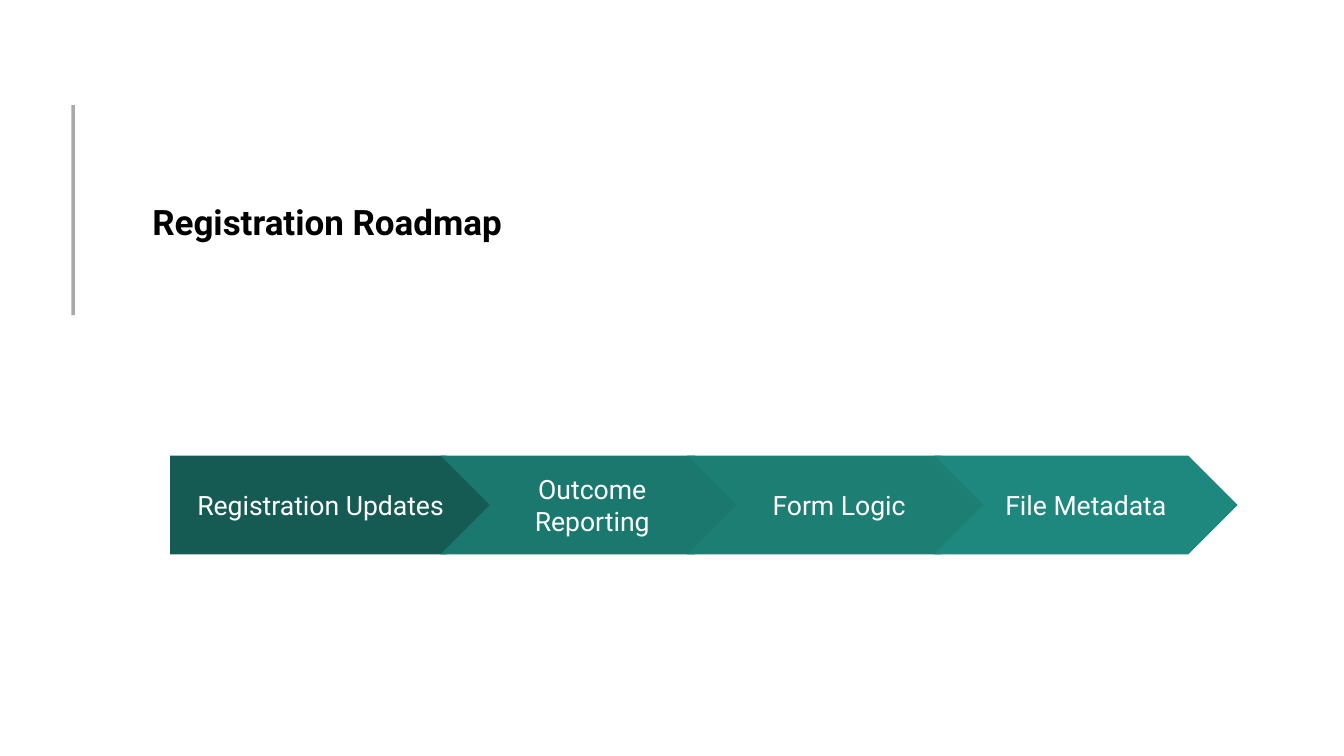
import pptx
import pptx.dml.color
import pptx.enum.shapes
import pptx.enum.text
import pptx.util

Cm, Pt = pptx.util.Cm, pptx.util.Pt
SHAPE = pptx.enum.shapes.MSO_SHAPE
ALIGN = pptx.enum.text.PP_ALIGN
ANCHOR = pptx.enum.text.MSO_ANCHOR

TITLE = "Registration Roadmap"
STAGES = [
    ("Registration Updates", "stage1"),
    ("Outcome Reporting", "stage2"),
    ("Form Logic", "stage3"),
    ("File Metadata", "stage4"),
]
COLORS = {
    "title": "000000",
    "label": "FFFFFF",
    "bar": "A9A9A9",
    "stage1": "155B54",
    "stage2": "1B786E",
    "stage3": "1D7E74",
    "stage4": "1F887E",
}
FONT = "Roboto"
INSET = 0.33

# Roadmap geometry in centimetres
STAGE_TOP, STAGE_HEIGHT = 11.48, 2.49
FIRST_LEFT, FIRST_WIDTH = 4.29, 8.2
CHEVRON_LEFT, CHEVRON_WIDTH, CHEVRON_PITCH = 11.1, 7.65, 6.22


def rgb(name):
    return pptx.dml.color.RGBColor.from_string(COLORS[name])


def add_block(slide, kind, left, top, width, height, color):
    """Add a filled shape without outline or shadow."""
    s = slide.shapes.add_shape(kind, Cm(left), Cm(top), Cm(width), Cm(height))
    s.shadow.inherit = False
    s.fill.solid()
    s.fill.fore_color.rgb = rgb(color)
    s.line.fill.background()
    return s


def write(s, text, size, color, align, anchor, bold=False):
    tf = s.text_frame
    tf.word_wrap = True
    tf.auto_size = pptx.enum.text.MSO_AUTO_SIZE.NONE
    tf.vertical_anchor = anchor
    tf.margin_left = tf.margin_right = Cm(INSET)
    tf.margin_top = tf.margin_bottom = Cm(INSET)
    p = tf.paragraphs[0]
    p.alignment = align
    r = p.add_run()
    r.text = text
    r.font.name = FONT
    r.font.size = Pt(size)
    r.font.bold = bold
    r.font.color.rgb = rgb(color)


def main():
    prs = pptx.Presentation()
    prs.slide_width, prs.slide_height = Cm(33.87), Cm(19.05)
    slide = prs.slides.add_slide(prs.slide_layouts[5])

    title = slide.shapes.title
    title.left, title.top = Cm(3.51), Cm(4.72)
    title.width, title.height = Cm(19.2), Cm(1.75)
    write(title, TITLE, 25, "title", ALIGN.LEFT, ANCHOR.TOP, bold=True)

    add_block(slide, SHAPE.RECTANGLE, 1.8, 2.65, 0.09, 5.29, "bar")

    for i, (label, color) in enumerate(STAGES):
        if i == 0:
            kind, left, width = SHAPE.PENTAGON, FIRST_LEFT, FIRST_WIDTH
        else:
            kind, width = SHAPE.CHEVRON, CHEVRON_WIDTH
            left = CHEVRON_LEFT + (i - 1) * CHEVRON_PITCH
        s = add_block(slide, kind, left, STAGE_TOP, width, STAGE_HEIGHT, color)
        s.adjustments[0] = 0.5
        write(s, label, 19, "label", ALIGN.CENTER, ANCHOR.MIDDLE)

    prs.save("out.pptx")


if __name__ == "__main__":
    main()
